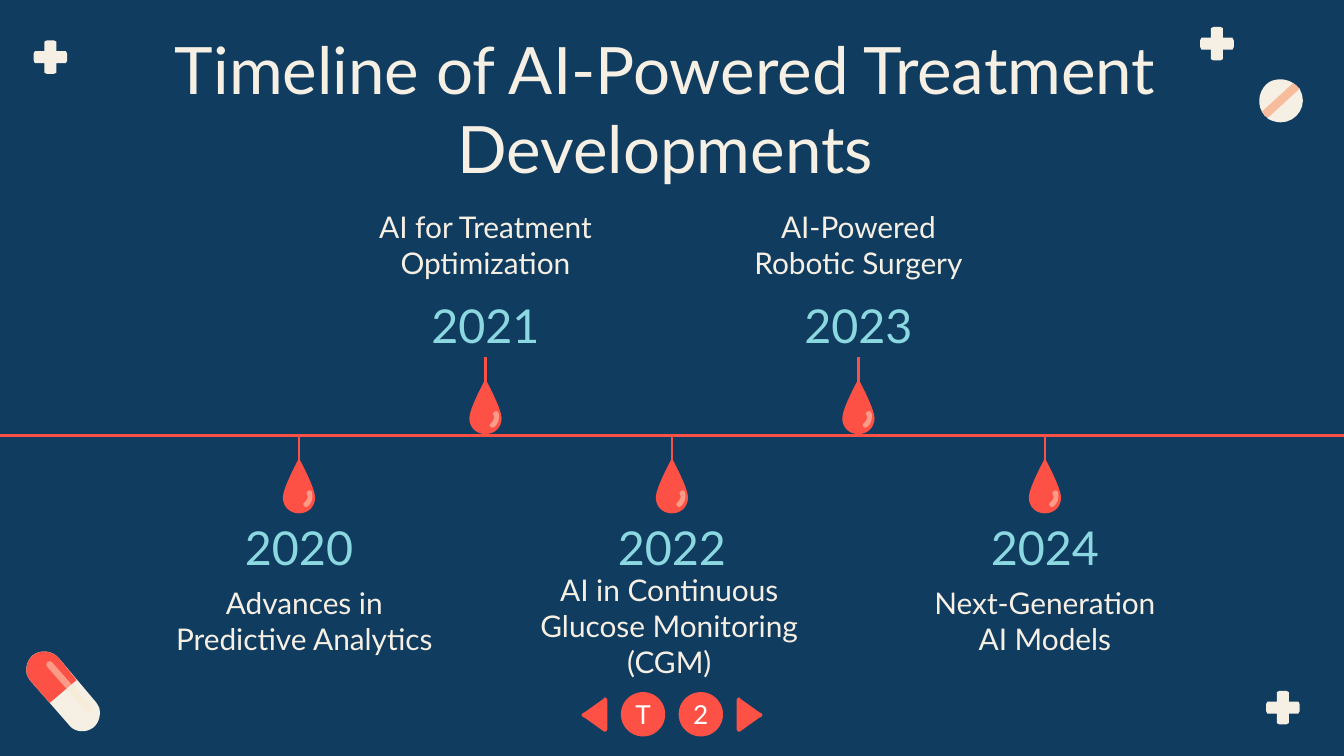
from pptx import Presentation, util as u
from pptx.dml.color import RGBColor
from pptx.enum import shapes as sh, text as tx
from pptx.oxml.ns import qn
from lxml import etree

NAVY = RGBColor(0x10, 0x3C, 0x60)
CREAM = RGBColor(0xF6, 0xEF, 0xE4)
PEACH = RGBColor(0xF6, 0xBC, 0x9B)
GLOSS = RGBColor(0xFA, 0xE9, 0xCD)
RED = RGBColor(0xFE, 0x51, 0x45)
AQUA = RGBColor(0x8C, 0xD8, 0xE1)
WHITE = RGBColor(0xFF, 0xFF, 0xFF)

WIDE = 10
HIGH = WIDE * 9 / 16
TITLE = "Timeline of AI-Powered Treatment Developments"
EVENTS = [
    {"year": "2020", "label": "Advances in Predictive Analytics",
     "width": 2.33, "shift": 0.04, "top": 4.37},
    {"year": "2021", "label": "AI for Treatment Optimization"},
    {"year": "2022", "label": "AI in Continuous Glucose Monitoring (CGM)",
     "width": 2.45, "shift": -0.02, "top": 4.41},
    {"year": "2023", "label": "AI-Powered Robotic Surgery"},
    {"year": "2024", "label": "Next-Generation AI Models", "top": 4.37},
]
BUTTONS = ["T", "2"]
PLUSES = [(8.93, 0.2), (9.42, 5.14), (0.25, 0.3)]
AXIS, BOX = 3.24, 1.85
STEP = BOX * 3 / 4
FIRST = WIDE / 2 - 2 * STEP

ARM = [(0.08, 0.08), (0.08, 0.01), (0.1, 0), (0.15, 0), (0.17, 0.01)]
DROP = [(0, 0), (0, 0, 0.12, 0.22, 0.12, 0.29), (0.12, 0.36, 0.07, 0.41, 0, 0.41),
        (-0.07, 0.41, -0.12, 0.36, -0.12, 0.29), (-0.12, 0.22, 0, 0, 0, 0)]
SHINE = [(0.08, 0.24), (0.1, 0.24, 0.1, 0.27, 0.1, 0.28),
         (0.1, 0.32, 0.08, 0.35, 0.06, 0.36), (0.04, 0.37, 0.02, 0.34, 0.04, 0.33),
         (0.06, 0.31, 0.07, 0.29, 0.06, 0.27), (0.05, 0.26, 0.06, 0.24, 0.08, 0.24)]
STRIPE = [(9.62, 0.62), (9.39, 0.83), (9.4, 0.84, 9.4, 0.85, 9.41, 0.86),
          (9.42, 0.87, 9.43, 0.87, 9.43, 0.88), (9.67, 0.66),
          (9.66, 0.65, 9.64, 0.63, 9.62, 0.62)]
TABLET = [(9.53, 0.59), (9.49, 0.59, 9.45, 0.6, 9.42, 0.63),
          (9.36, 0.69, 9.35, 0.79, 9.41, 0.86), (9.42, 0.87, 9.43, 0.87, 9.43, 0.88),
          (9.46, 0.9, 9.5, 0.91, 9.53, 0.91), (9.65, 0.91, 9.74, 0.78, 9.67, 0.66),
          (9.66, 0.66, 9.65, 0.65, 9.65, 0.64), (9.62, 0.61, 9.57, 0.59, 9.53, 0.59)]
CAP = [(0.23, 5.07), (0.22, 5.06, 0.21, 5.04, 0.2, 5.02),
       (0.19, 4.97, 0.2, 4.92, 0.24, 4.88), (0.3, 4.83, 0.39, 4.84, 0.44, 4.9)]
PILL = CAP + [(0.71, 5.22), (0.72, 5.23, 0.73, 5.25, 0.74, 5.27),
              (0.75, 5.32, 0.74, 5.37, 0.7, 5.41), (0.64, 5.46, 0.55, 5.45, 0.51, 5.39)]
HALF = CAP + [(0.57, 5.06), (0.37, 5.23)]
STREAK = [(0.35, 4.96), (0.34, 4.94, 0.35, 4.92, 0.37, 4.92), (0.38, 4.92, 0.39, 4.93, 0.39, 4.93),
          (0.68, 5.26), (0.69, 5.28, 0.68, 5.3, 0.66, 5.3), (0.65, 5.3, 0.64, 5.29, 0.64, 5.29)]
ARROW = [(0.02, 0), (0.03, 0, 0.03, 0.01, 0.03, 0.01), (0.17, 0.11),
         (0.2, 0.12, 0.2, 0.14, 0.17, 0.15), (0.03, 0.25),
         (0.02, 0.26, 0, 0.25, 0, 0.23), (0, 0.03), (0, 0.01, 0.01, 0, 0.02, 0)]


def trace(path, left, top, flip):
    pts = []
    for seg in path:
        if len(seg) == 2:
            pts.append(seg)
            continue
        ctrl = [pts[-1], seg[:2], seg[2:4], seg[4:]]
        for n in range(1, 9):
            t = n / 8
            mix = ((1 - t) ** 3, 3 * t * (1 - t) ** 2, 3 * t * t * (1 - t), t ** 3)
            pts.append(tuple(sum(m * c[k] for m, c in zip(mix, ctrl)) for k in (0, 1)))
    return [(u.Inches(left + flip * x), u.Inches(top + y)) for x, y in pts]


def paint(form, color, alpha=None):
    form.shadow.inherit = False
    form.fill.solid()
    form.fill.fore_color.rgb = color
    form.line.fill.background()
    if alpha:
        hue = form._element.spPr.find(qn("a:solidFill"))[0]
        etree.SubElement(hue, qn("a:alpha"), val=str(alpha * 1000))


def draw(pool, path, color, left=0, top=0, alpha=None, flip=1):
    pts = trace(path, left, top, flip)
    pen = pool.build_freeform(*pts[0])
    pen.add_line_segments(pts[1:], close=True)
    paint(pen.convert_to_shape(), color, alpha)


def rule(pool, *ends):
    line = pool.add_connector(sh.MSO_CONNECTOR.STRAIGHT, *map(u.Inches, ends))
    line.line.color.rgb = RED
    line.line.width = u.Pt(1.5)
    etree.SubElement(line._element.spPr, qn("a:effectLst"))


def write(form, words, size, color, side=0.1, anchor=tx.MSO_ANCHOR.MIDDLE):
    frame = form.text_frame
    look = {"word_wrap": True, "vertical_anchor": anchor,
            "margin_left": u.Inches(side), "margin_right": u.Inches(side),
            "margin_top": u.Inches(0.1), "margin_bottom": u.Inches(0.1)}
    for key, val in look.items():
        setattr(frame, key, val)
    para = frame.paragraphs[0]
    para.text = words
    para.alignment = tx.PP_ALIGN.CENTER
    for key, val in {"name": "Lato", "size": u.Pt(size)}.items():
        setattr(para.font, key, val)
    para.font.color.rgb = color


def label(pool, box, *args, **kw):
    write(pool.add_textbox(*map(u.Inches, box)), *args, **kw)


deck = Presentation()
deck.slide_width, deck.slide_height = u.Inches(WIDE), u.Inches(HIGH)
slide = deck.slides.add_slide(deck.slide_layouts[6])
slide.background.fill.solid()
slide.background.fill.fore_color.rgb = NAVY
pool = slide.shapes

plus, arm = [], ARM
for turn in range(4):
    plus += arm
    arm = [(0.25 - y, x) for x, y in arm]
for left, top in PLUSES:
    draw(pool, plus, CREAM, left, top)

tablet = pool.add_group_shape().shapes
draw(tablet, TABLET, CREAM)
draw(tablet, STRIPE, PEACH)
pill = pool.add_group_shape().shapes
draw(pill, PILL, CREAM)
draw(pill, HALF, RED)
draw(pill, STREAK, GLOSS, alpha=49)

label(pool, (0.73, 0.12, 8.44, 0.63), TITLE, 35, CREAM, anchor=tx.MSO_ANCHOR.TOP)
rule(pool, 0, AXIS, WIDE, AXIS)

for i, event in enumerate(EVENTS):
    mid, above = FIRST + i * STEP, i % 2
    wide = event.get("width", BOX)
    left = mid + event.get("shift", 0) - wide / 2
    label(pool, (mid - BOX / 2, 2.17 if above else 3.82, BOX, 0.49), event["year"], 25, AQUA)
    label(pool, (left, event.get("top", 1.54), wide, 0.56 if above else 0.49),
          event["label"], 16, CREAM)
    mark = pool.add_group_shape().shapes
    top = 2.82 if above else 3.41
    rule(mark, mid, AXIS - 0.58 if above else AXIS + 0.58, mid, AXIS)
    draw(mark, DROP, RED, mid, top)
    draw(mark, SHINE, GLOSS, mid, top, 49)

for i, name in enumerate(BUTTONS):
    disc = pool.add_shape(sh.MSO_SHAPE.OVAL, *map(u.Inches, (4.62 + i * 0.43, 5.15, 0.33, 0.33)))
    paint(disc, RED)
    write(disc, name, 14, WHITE, side=0)
for left, flip in ((5.48, 1), (4.52, -1)):
    draw(pool, ARROW, RED, left, 5.19, flip=flip)

deck.save("out.pptx")
